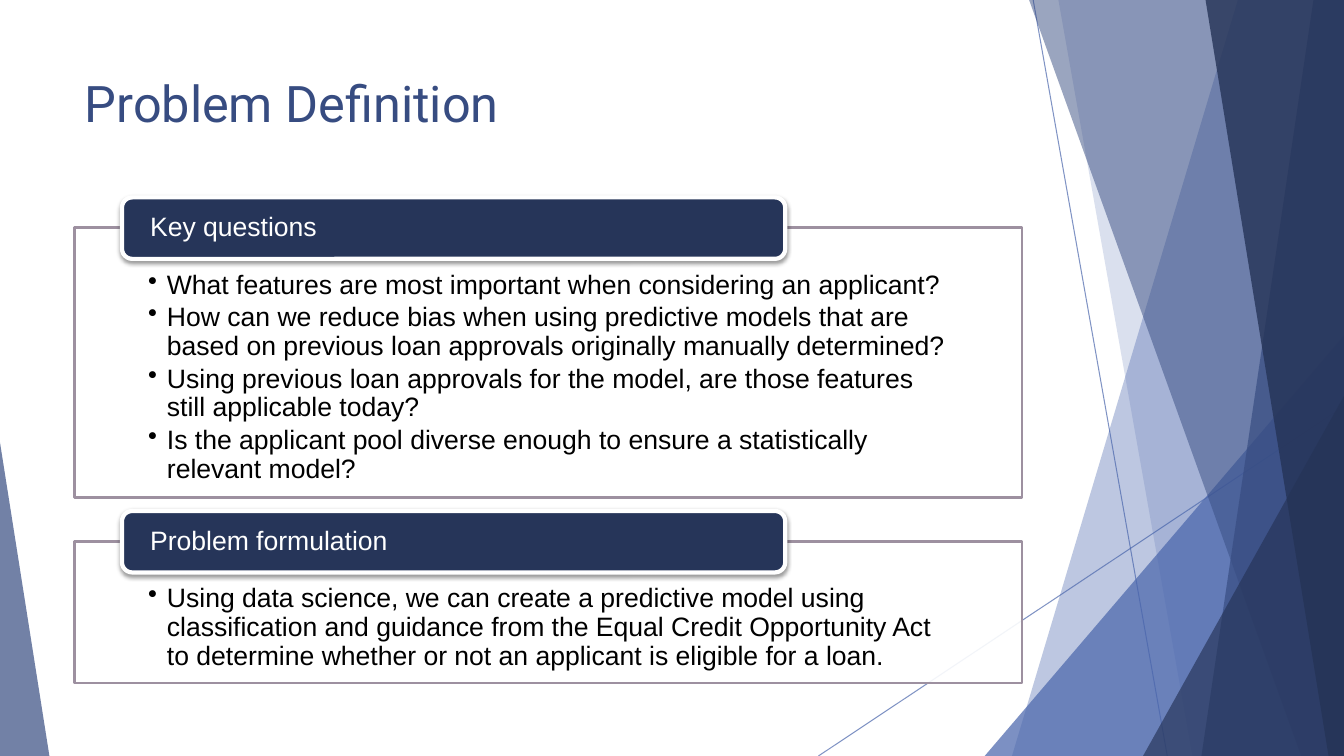
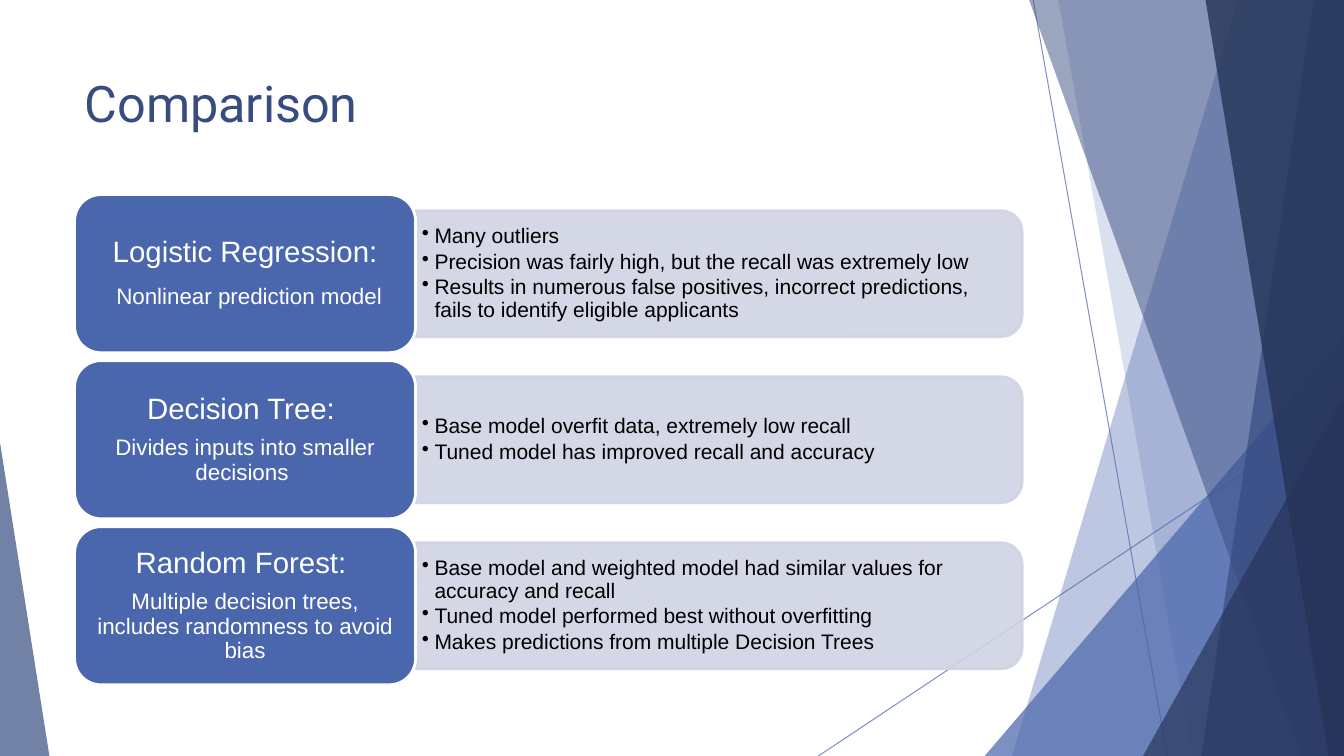
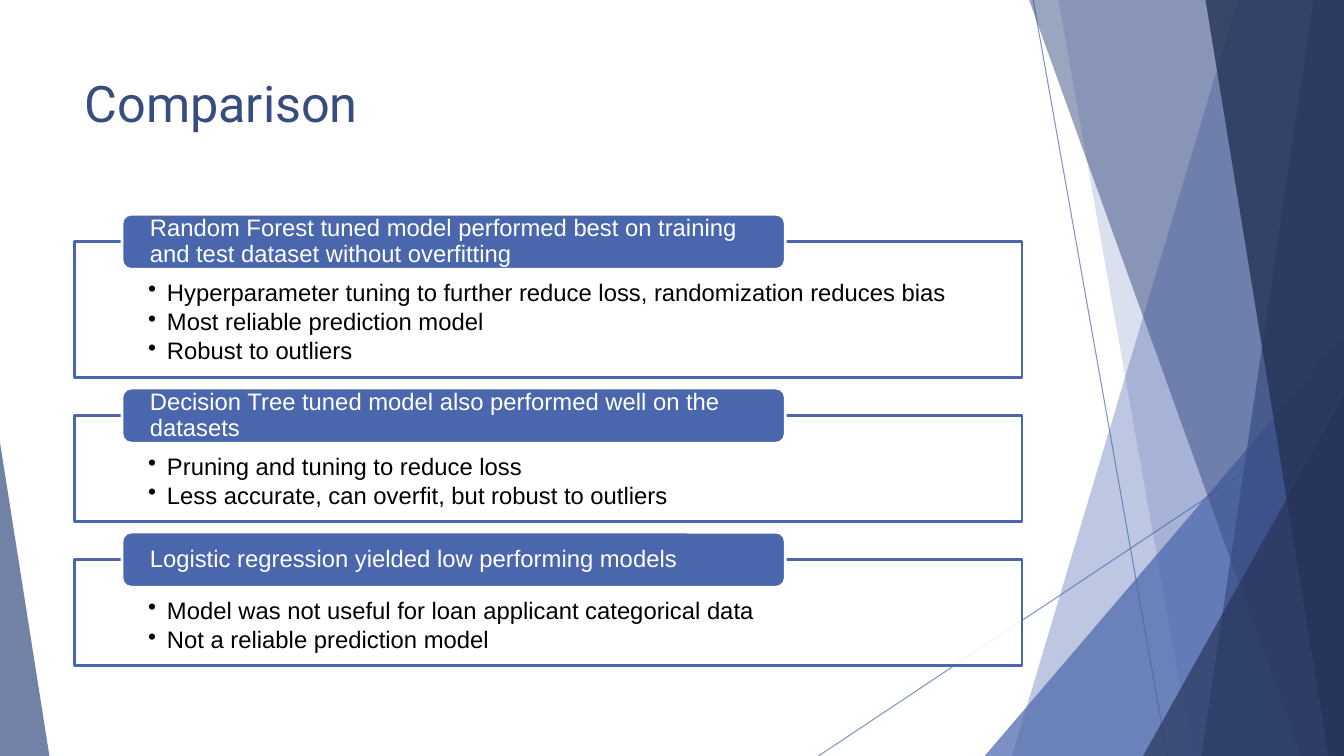
from dataclasses import dataclass

from lxml import etree
from pptx import Presentation
from pptx.dml.color import RGBColor
from pptx.enum.shapes import MSO_CONNECTOR, MSO_SHAPE, PP_PLACEHOLDER
from pptx.enum.text import MSO_ANCHOR, MSO_AUTO_SIZE, PP_ALIGN
from pptx.oxml.ns import qn
from pptx.util import Pt

RECTANGLE = MSO_SHAPE.RECTANGLE
ROUNDED = MSO_SHAPE.ROUNDED_RECTANGLE
ROUNDED_SIDE = MSO_SHAPE.ROUND_2_SAME_RECTANGLE
TRIANGLE = MSO_SHAPE.ISOSCELES_TRIANGLE
STRAIGHT = MSO_CONNECTOR.STRAIGHT
TITLE = PP_PLACEHOLDER.TITLE
TOP, MIDDLE = MSO_ANCHOR.TOP, MSO_ANCHOR.MIDDLE
LEFT, CENTER = PP_ALIGN.LEFT, PP_ALIGN.CENTER

COLOURS = {
    "blue": "4A66AC",
    "slate": "374C81",
    "navy": "253356",
    "tab_navy": "263559",
    "mauve": "9D90A0",
    "pale": "D0D3E3",
    "white": "FFFFFF",
    "black": "000000",
}
BODY_FONT, TITLE_FONT = "Arial", "Roboto"
SLIDE_WIDTH, SLIDE_HEIGHT = 960, 540
CONTENT_LEFT, CONTENT_WIDTH = 53.3, 676.8
LINE_SPACING = 0.9
BULLET_SPACE, HEADING_SPACE = 0.15, 0.35  # share of the text size


@dataclass(frozen=True)
class Band:
    """A strip from a slanted left edge to the right side of the slide."""
    top_x: float
    bottom_x: float
    colour: str
    opacity: int


@dataclass(frozen=True)
class Corner:
    """A triangle standing on the bottom edge; apex is 0 (left) to 1 (right)."""
    left: float
    top: float
    width: float
    apex: float
    colour: str
    opacity: int


@dataclass(frozen=True)
class Section:
    heading: str
    height: float
    bullets: tuple[str, ...]


@dataclass(frozen=True)
class SectionStyle:
    top: float
    gap: float
    frame_colour: str
    tab_colour: str
    tab_rise: float
    tab_height: float
    tab_outline: float
    insets: tuple[float, float, float, float]
    text_size: float
    shadow: bool


@dataclass(frozen=True)
class ModelRow:
    name: str
    detail: str
    bullets: tuple[str, ...]
    detail_lead: str = ""


HAIRLINES = ((738, 0, 833.8, 540), (960, 290.2, 584.6, 540))
FACETS = (
    Band(884.2, 722.9, "blue", 36),
    Band(756, 851.8, "blue", 20),
    Corner(703.4, 239.8, 256.6, 1, "blue", 72),
    Band(735.1, 929.5, "slate", 50),
    Band(938.2, 858.2, "slate", 70),
    Band(861.1, 949, "navy", 80),
    Corner(816.5, 283, 143.5, 1, "navy", 66),
    Corner(0, 316.1, 35.3, 0, "slate", 70),
)

PROBLEM_STYLE = SectionStyle(
    top=162.6, gap=31, frame_colour="mauve", tab_colour="tab_navy",
    tab_rise=21.6, tab_height=43.9, tab_outline=3,
    insets=(52.5, 31, 52.5, 10.8), text_size=19, shadow=True)
PROBLEM_SECTIONS = (
    Section("Key questions", 193, (
        "What features are most important when considering an applicant?",
        "How can we reduce bias when using predictive models that are based on "
        "previous loan approvals originally manually determined?",
        "Using previous loan approvals for the model, are those features still "
        "applicable today?",
        "Is the applicant pool diverse enough to ensure a statistically "
        "relevant model?")),
    Section("Problem formulation", 101.3, (
        "Using data science, we can create a predictive model using "
        "classification and guidance from the Equal Credit Opportunity Act to "
        "determine whether or not an applicant is eligible for a loan.",)),
)

RESULT_STYLE = SectionStyle(
    top=172.5, gap=27, frame_colour="blue", tab_colour="blue",
    tab_rise=19.5, tab_height=39.4, tab_outline=2,
    insets=(52.5, 28, 52.5, 9.4), text_size=17, shadow=False)
RESULT_SECTIONS = (
    Section("Random Forest tuned model performed best on training and test "
            "dataset without overfitting", 97.2, (
        "Hyperparameter tuning to further reduce loss, randomization reduces bias",
        "Most reliable prediction model",
        "Robust to outliers")),
    Section("Decision Tree tuned model also performed well on the datasets", 75.9, (
        "Pruning and tuning to reduce loss",
        "Less accurate, can overfit, but robust to outliers")),
    Section("Logistic regression yielded low performing models", 75.9, (
        "Model was not useful for loan applicant categorical data",
        "Not a reliable prediction model")),
)

MODEL_ROWS = (
    ModelRow("Logistic Regression:", "Nonlinear prediction model", (
        "Many outliers",
        "Precision was fairly high, but the recall was extremely low",
        "Results in numerous false positives, incorrect predictions, fails to "
        "identify eligible applicants"), detail_lead=" "),
    ModelRow("Decision Tree: ", "Divides inputs into smaller decisions ", (
        "Base model overfit data, extremely low recall",
        "Tuned model has improved recall and accuracy")),
    ModelRow("Random Forest: ",
             "Multiple decision trees, includes randomness to avoid bias", (
        "Base model and weighted model had similar values for accuracy and recall",
        "Tuned model performed best without overfitting",
        "Makes predictions from multiple Decision Trees")),
)


def rgb(name: str) -> RGBColor:
    return RGBColor.from_string(COLOURS[name])


def set_opacity(shape, percent: int, part: str = "a:solidFill") -> None:
    """Make the fill, or the part of the shape properties named, see-through."""
    properties = shape.element.find(qn("p:spPr"))
    steps = [qn(step) for step in f"{part}/a:srgbClr".split("/")]
    colour = properties.find("/".join(steps))
    etree.SubElement(colour, qn("a:alpha"), val=str(percent * 1000))


def paint(shape, fill: str, opacity: int = 100, line: str = "",
          line_width: float = 0) -> None:
    shape.shadow.inherit = False
    shape.fill.solid()
    shape.fill.fore_color.rgb = rgb(fill)
    if opacity < 100:
        set_opacity(shape, opacity)
    if line:
        shape.line.color.rgb = rgb(line)
        shape.line.width = Pt(line_width)
    else:
        shape.line.fill.background()


def add_box(shapes, kind, left: float, top: float, width: float, height: float):
    return shapes.add_shape(kind, Pt(left), Pt(top), Pt(width), Pt(height))


def add_drop_shadow(shape) -> None:
    effects = shape.element.find(qn("p:spPr")).find(qn("a:effectLst"))
    shadow = etree.SubElement(
        effects, qn("a:outerShdw"), blurRad=str(Pt(3.1)), dist=str(Pt(1.6)),
        dir="5400000", algn="ctr", rotWithShape="0")
    colour = etree.SubElement(shadow, qn("a:srgbClr"), val=COLOURS["black"])
    etree.SubElement(colour, qn("a:alpha"), val="38000")


def prepare_frame(shape, insets: tuple[float, float, float, float], anchor):
    frame = shape.text_frame
    frame.word_wrap = True
    frame.auto_size = MSO_AUTO_SIZE.NONE
    frame.vertical_anchor = anchor
    (frame.margin_left, frame.margin_top,
     frame.margin_right, frame.margin_bottom) = map(Pt, insets)
    return frame


def format_paragraph(paragraph, size: float, colour: str, alignment=LEFT,
                     font: str = BODY_FONT) -> None:
    paragraph.alignment = alignment
    paragraph.font.name = font
    paragraph.font.size = Pt(size)
    paragraph.font.color.rgb = rgb(colour)


def write_bullets(frame, bullets: tuple[str, ...], size: float,
                  indent: float) -> None:
    for index, text in enumerate(bullets):
        paragraph = frame.add_paragraph() if index else frame.paragraphs[0]
        paragraph.text = text
        format_paragraph(paragraph, size, "black")
        paragraph.line_spacing = LINE_SPACING
        if index < len(bullets) - 1:
            paragraph.space_after = Pt(size * BULLET_SPACE)
        properties = paragraph.font._element.getparent()
        properties.set("marL", str(Pt(indent)))
        properties.set("indent", str(-Pt(indent)))
        bullet = etree.Element(qn("a:buChar"), char="•")
        properties.find(qn("a:defRPr")).addprevious(bullet)


def add_hairline(shapes, start_x: float, start_y: float, end_x: float,
                 end_y: float) -> None:
    connector = shapes.add_connector(
        STRAIGHT, Pt(start_x), Pt(start_y), Pt(end_x), Pt(end_y))
    connector.line.color.rgb = rgb("blue")
    connector.line.width = Pt(0.75)
    set_opacity(connector, 70, "a:ln/a:solidFill")
    etree.SubElement(connector.element.find(qn("p:spPr")), qn("a:effectLst"))


def add_facet(shapes, facet: Band | Corner) -> None:
    if isinstance(facet, Band):
        builder = shapes.build_freeform(Pt(facet.top_x), 0)
        corners = ((SLIDE_WIDTH, 0), (SLIDE_WIDTH, SLIDE_HEIGHT),
                   (facet.bottom_x, SLIDE_HEIGHT))
        builder.add_line_segments([(Pt(x), Pt(y)) for x, y in corners])
        shape = builder.convert_to_shape()
    else:
        shape = add_box(shapes, TRIANGLE, facet.left, facet.top, facet.width,
                        SLIDE_HEIGHT - facet.top)
        shape.adjustments[0] = facet.apex
    paint(shape, facet.colour, facet.opacity)


def decorate_layout(layout, slide) -> None:
    """Draw the backdrop on a slide, then move it to the layout all slides use."""
    for placeholder in list(layout.placeholders):
        if placeholder.placeholder_format.type != TITLE:
            layout.shapes.element.remove(placeholder.element)
    backdrop = slide.shapes.add_group_shape()
    for hairline in HAIRLINES:
        add_hairline(backdrop.shapes, *hairline)
    for facet in FACETS:
        add_facet(backdrop.shapes, facet)
    layout.shapes.element.append(backdrop.element)


def add_titled_slide(presentation, layout, title: str):
    slide = presentation.slides.add_slide(layout)
    shape = slide.shapes.title
    shape.left, shape.top = Pt(CONTENT_LEFT), Pt(48)
    shape.width, shape.height = Pt(CONTENT_WIDTH), Pt(104)
    frame = prepare_frame(shape, (7.2, 3.6, 7.2, 3.6), TOP)
    frame.text = title
    format_paragraph(frame.paragraphs[0], 36, "slate", font=TITLE_FONT)
    return slide


def add_sections(slide, sections: tuple[Section, ...],
                 style: SectionStyle) -> None:
    """Stack bulleted frames, each with a heading tab across its top edge."""
    top = style.top
    for section in sections:
        panel = add_box(slide.shapes, RECTANGLE, CONTENT_LEFT, top,
                        CONTENT_WIDTH, section.height)
        paint(panel, "white", 90, style.frame_colour, 2)
        frame = prepare_frame(panel, style.insets, TOP)
        write_bullets(frame, section.bullets, style.text_size, 13.5)

        tab = add_box(slide.shapes, ROUNDED, 87.1, top - style.tab_rise,
                      473.8, style.tab_height)
        paint(tab, style.tab_colour, line="white", line_width=style.tab_outline)
        if style.shadow:
            add_drop_shadow(tab)
        frame = prepare_frame(tab, (18, 0, 18, 0), MIDDLE)
        frame.text = section.heading
        format_paragraph(frame.paragraphs[0], style.text_size, "white")
        frame.paragraphs[0].line_spacing = LINE_SPACING
        top += section.height + style.gap


def add_model_row(slide, row: ModelRow, top: float) -> None:
    card_width, card_height = 243.6, 113
    panel_width, panel_height, text_height = 433.2, 90, 81.4
    name_size, detail_size = 21, 16
    panel_left = CONTENT_LEFT + card_width
    middle = top + card_height / 2

    # Turned a quarter, so that the two rounded corners face right.
    panel = add_box(slide.shapes, ROUNDED_SIDE,
                    panel_left + (panel_width - panel_height) / 2,
                    middle - panel_width / 2, panel_height, panel_width)
    panel.rotation = 90
    paint(panel, "pale", 90, "pale", 2)
    set_opacity(panel, 90, "a:ln/a:solidFill")
    notes = slide.shapes.add_textbox(Pt(panel_left), Pt(middle - text_height / 2),
                                     Pt(429), Pt(text_height))
    frame = prepare_frame(notes, (4.5, 2.25, 4.5, 2.25), MIDDLE)
    write_bullets(frame, row.bullets, 15, 9)

    card = add_box(slide.shapes, ROUNDED, CONTENT_LEFT, top,
                   card_width, card_height)
    paint(card, "blue", line="white", line_width=2)
    frame = prepare_frame(card, (6.3, 3.15, 6.3, 3.15), MIDDLE)
    name, detail = frame.paragraphs[0], frame.add_paragraph()
    name.text = row.name
    name.space_after = Pt(name_size * HEADING_SPACE)
    if row.detail_lead:
        lead = detail.add_run()
        lead.text = row.detail_lead
        lead.font.size = Pt(name_size)
    detail.add_run().text = row.detail
    for paragraph, size in ((name, name_size), (detail, detail_size)):
        format_paragraph(paragraph, size, "white", CENTER)
        paragraph.line_spacing = LINE_SPACING


def main() -> None:
    presentation = Presentation()
    presentation.slide_width = Pt(SLIDE_WIDTH)
    presentation.slide_height = Pt(SLIDE_HEIGHT)
    layout = presentation.slide_layouts.get_by_name("Title Only")

    problem = add_titled_slide(presentation, layout, "Problem Definition")
    decorate_layout(layout, problem)
    add_sections(problem, PROBLEM_SECTIONS, PROBLEM_STYLE)

    models = add_titled_slide(presentation, layout, "Comparison")
    for index, row in enumerate(MODEL_ROWS):
        add_model_row(models, row, 139 + index * 118.6)

    results = add_titled_slide(presentation, layout, "Comparison")
    add_sections(results, RESULT_SECTIONS, RESULT_STYLE)

    presentation.save("out.pptx")


if __name__ == "__main__":
    main()
